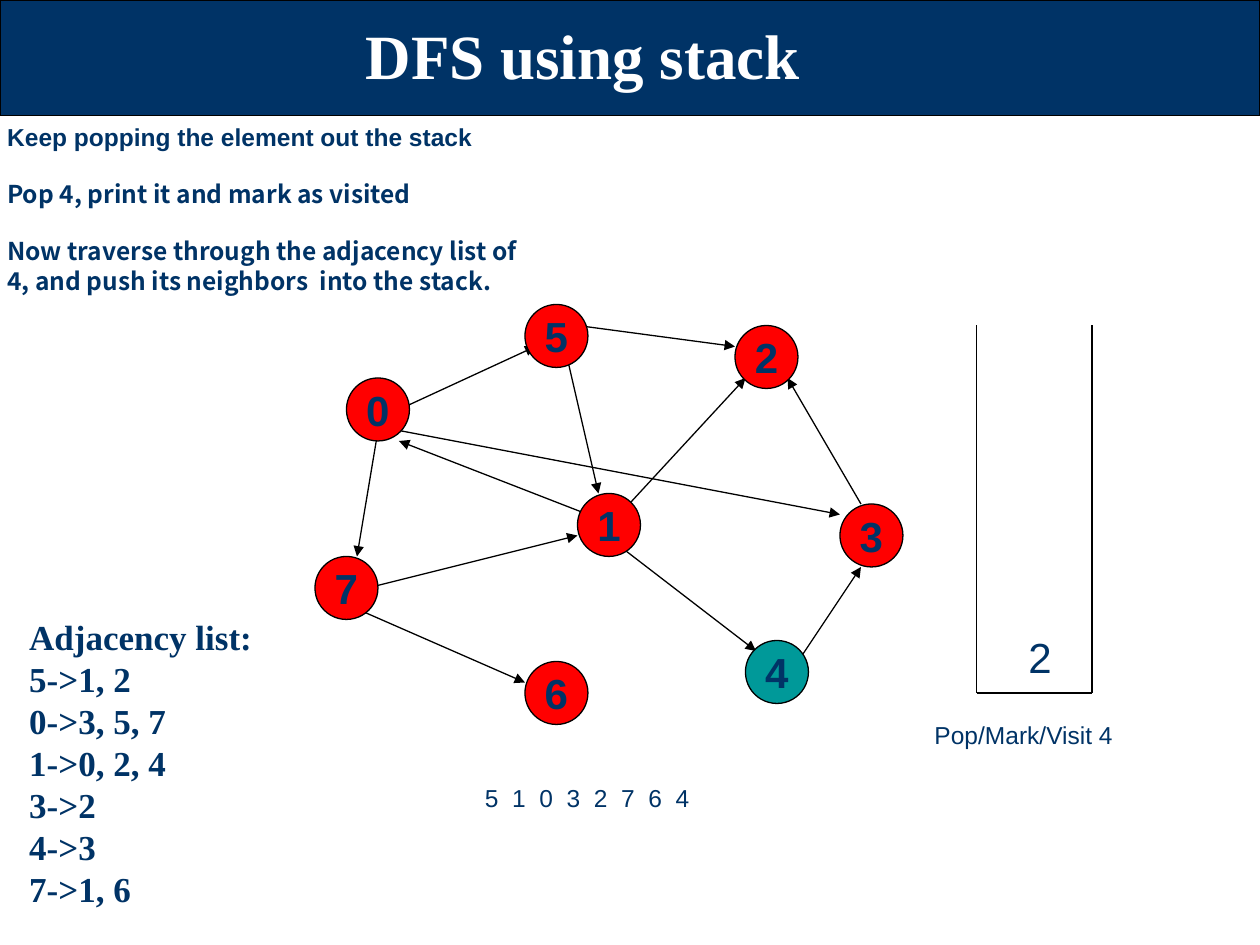
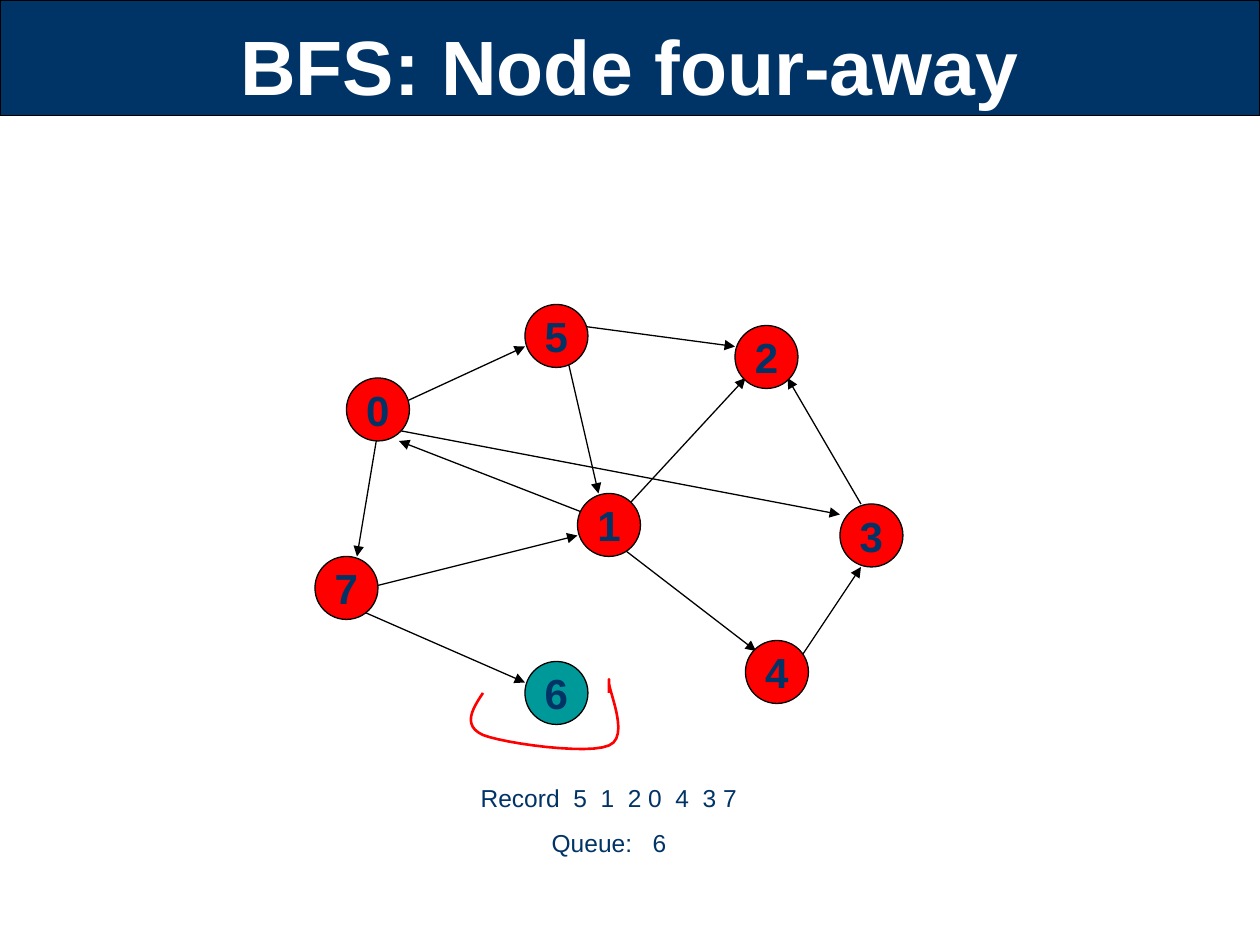
from lxml import etree
from pptx import Presentation
from pptx.dml.color import RGBColor
from pptx.enum.shapes import MSO_CONNECTOR, MSO_SHAPE
from pptx.enum.text import MSO_ANCHOR, PP_ALIGN
from pptx.oxml.ns import qn
from pptx.util import Inches, Pt

STRAIGHT = MSO_CONNECTOR.STRAIGHT
RECTANGLE, ELLIPSE = MSO_SHAPE.RECTANGLE, MSO_SHAPE.OVAL
TOP, MIDDLE, BOTTOM = MSO_ANCHOR.TOP, MSO_ANCHOR.MIDDLE, MSO_ANCHOR.BOTTOM
LEFT, CENTER = PP_ALIGN.LEFT, PP_ALIGN.CENTER

NAVY = RGBColor(0x00, 0x33, 0x66)
RED = RGBColor(0xFF, 0x00, 0x00)
TEAL = RGBColor(0x00, 0x99, 0x99)
BLACK = RGBColor(0x00, 0x00, 0x00)
WHITE = RGBColor(0xFF, 0xFF, 0xFF)

SANS, SERIF, NOTO = "Arial", "Times New Roman", "Noto Sans CJK SC"

# Every position is in cells of a grid of 120 columns by 90 rows.
COLUMNS, ROWS = 120, 90
CELL = Inches(10) // COLUMNS
BAND_ROWS = 11
NODE_SIZE = 6

NODES = {
    "0": (33, 36), "7": (30, 53), "1": (55, 47), "5": (50, 29),
    "4": (71, 61), "3": (80, 48), "2": (70, 31), "6": (50, 63),
}
EDGES = [
    ((59, 49), (71, 36)),  # 1 -> 2
    ((54, 34), (57, 47)),  # 5 -> 1
    ((35, 56), (55, 51)),  # 7 -> 1
    ((34, 58), (50, 65)),  # 7 -> 6
    ((36, 41), (34, 53)),  # 0 -> 7
    ((59, 52), (72, 62)),  # 1 -> 4
    ((76, 63), (82, 54)),  # 4 -> 3
    ((82, 48), (75, 36)),  # 3 -> 2
    ((55, 31), (70, 33)),  # 5 -> 2
    ((38, 41), (80, 49)),  # 0 -> 3
    ((56, 49), (38, 42)),  # 1 -> 0
]
EDGE_0_TO_5_DFS = ((38, 39), (51, 33))
EDGE_0_TO_5_BFS = ((37, 39), (50, 33))

MARK_START = (46, 66)
MARK_CURVES = [
    ((45, 67.5), (44, 69.1), (46, 70)),
    ((48, 70.8), (56, 71.9), (58, 71)),
    ((60, 70.2), (58, 65.9), (58, 65)),
    ((58, 64.2), (58, 65), (58, 66)),
]


def cells(*values):
    return [round(value * CELL) for value in values]


def write_text(frame, text, font=SANS, size=14, color=NAVY, bold=False,
               align=LEFT, anchor=TOP, gap=0, wrap=True):
    """Fill a frame; text is a string or a list of strings or (string, font) pairs."""
    frame.word_wrap = wrap
    frame.vertical_anchor = anchor
    for index, item in enumerate([text] if isinstance(text, str) else text):
        words, face = (item, font) if isinstance(item, str) else item
        para = frame.paragraphs[0] if index == 0 else frame.add_paragraph()
        para.alignment = align
        para.space_before = Pt(gap if index else 0)
        span = para.add_run()
        span.text = words
        span.font.name, span.font.size, span.font.bold = face, Pt(size), bold
        span.font.color.rgb = color


def add_text(page, area, text, **style):
    box = page.shapes.add_textbox(*cells(*area))
    write_text(box.text_frame, text, **style)


def add_solid(page, kind, area, fill):
    shape = page.shapes.add_shape(kind, *cells(*area))
    shape.shadow.inherit = False
    shape.fill.solid()
    shape.fill.fore_color.rgb = fill
    shape.line.color.rgb = BLACK
    shape.line.width = Pt(0.75)
    return shape


def add_line(page, start, end, arrow=False):
    line = page.shapes.add_connector(STRAIGHT, *cells(*start, *end))
    line.line.color.rgb = BLACK
    line.line.width = Pt(0.75)
    if arrow:
        etree.SubElement(line.line._get_or_add_ln(), qn("a:tailEnd"), type="triangle")
    etree.SubElement(line._element.spPr, qn("a:effectLst"))


def add_title_page(deck, title, area, **style):
    page = deck.slides.add_slide(deck.slide_layouts[6])
    add_solid(page, RECTANGLE, (0, 0, COLUMNS, BAND_ROWS), NAVY)
    add_text(page, area, title, color=WHITE, bold=True, align=CENTER, **style)
    return page


def add_graph(page, edges, current):
    """Draw the arrows, then the nodes over them; the current node is teal."""
    for start, end in edges:
        add_line(page, start, end, arrow=True)
    for name, corner in NODES.items():
        node = add_solid(page, ELLIPSE, (*corner, NODE_SIZE, NODE_SIZE),
                         TEAL if name == current else RED)
        write_text(node.text_frame, name, size=24, bold=True, align=CENTER,
                   anchor=MIDDLE, wrap=False)


def add_stack(page, left, top, right, bottom, content):
    add_line(page, (left, top), (left, bottom))
    add_line(page, (right, top), (right, bottom))
    add_line(page, (left, bottom), (right, bottom))
    add_text(page, (left, top, right - left, bottom - top - 0.5), content,
             size=24, align=CENTER, anchor=BOTTOM)


def curve_points(start, curves, steps=12):
    """Points along a chain of cubic Bezier curves, after the start."""
    points = []
    for first, second, end in curves:
        for step in range(1, steps + 1):
            t = step / steps
            u = 1 - t
            points.append(tuple(
                u**3 * a + 3 * u * u * t * b + 3 * u * t * t * c + t**3 * d
                for a, b, c, d in zip(start, first, second, end)))
        start = end
    return points


def add_hand_mark(page):
    builder = page.shapes.build_freeform(*cells(*MARK_START), scale=1.0)
    points = curve_points(MARK_START, MARK_CURVES)
    builder.add_line_segments([cells(*point) for point in points], close=False)
    mark = builder.convert_to_shape()
    mark.shadow.inherit = False
    mark.fill.background()
    mark.line.color.rgb = RED
    mark.line.width = Pt(1.5)


def add_dfs_page(deck):
    page = add_title_page(deck, "DFS using stack", (3, 1, 105, 9), font=SERIF, size=36)
    add_graph(page, EDGES + [EDGE_0_TO_5_DFS], current="4")
    add_text(page, (45, 74, 30, 4), "5  1  0  3  2  7  6  4")
    add_stack(page, 93, 31, 104, 66, " 2")
    add_text(page, (83, 68, 29, 4), "Pop/Mark/Visit 4", align=CENTER)
    add_text(page, (1.6, 58, 25, 29), [
        "Adjacency list:", "5->1, 2", "0->3, 5, 7", "1->0, 2, 4", "3->2", "4->3", "7->1, 6",
    ], font=SERIF, size=20, bold=True)
    add_text(page, (-0.5, 11, 52, 18), [
        "Keep popping the element out the stack",
        ("Pop 4, print it and mark as visited", NOTO),
        ("Now traverse through the adjacency list of 4, "
         "and push its neighbors  into the stack.", NOTO),
    ], bold=True, gap=16)


def add_bfs_page(deck):
    page = add_title_page(deck, "BFS: Node four-away", (9, -1.3, 102, 15),
                          size=44, anchor=MIDDLE)
    add_graph(page, EDGES + [EDGE_0_TO_5_BFS], current="6")
    add_hand_mark(page)
    add_text(page, (43, 74, 30, 8), ["Record  5  1  2 0  4  3 7", "Queue:   6"],
             align=CENTER, gap=8.8)


def main():
    deck = Presentation()
    deck.slide_width, deck.slide_height = cells(COLUMNS, ROWS)
    add_dfs_page(deck)
    add_bfs_page(deck)
    deck.save("out.pptx")


if __name__ == "__main__":
    main()
